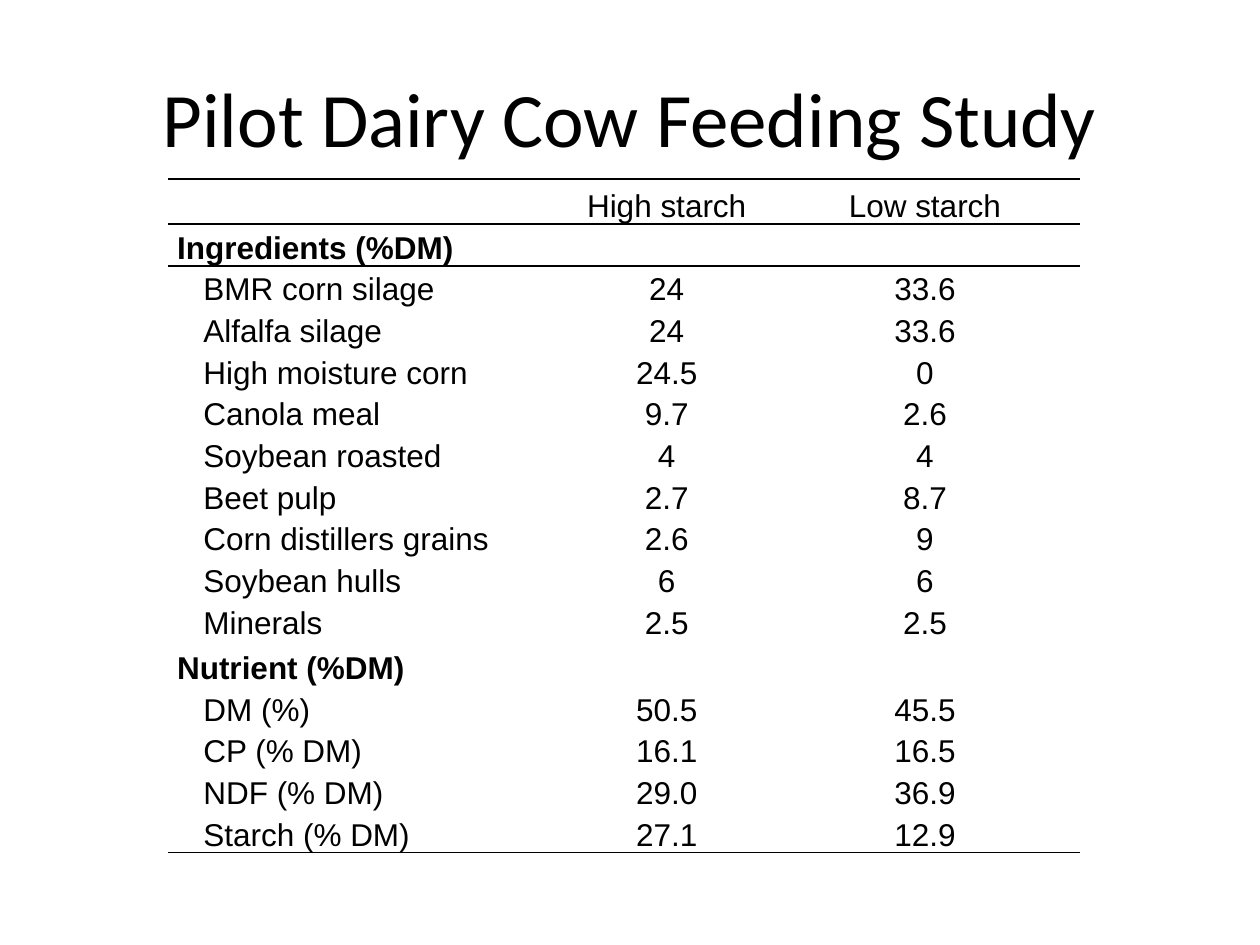
from lxml import etree
from pptx import Presentation
from pptx import util as u
from pptx.dml.color import RGBColor
from pptx.enum import text
from pptx.oxml.ns import qn

BLACK = "000000"
NO_STYLE_NO_GRID = "{2D5ABB26-0587-4C30-8999-92F81FD0307C}"
HEADINGS = ["", "High starch", "Low starch"]
SECTIONS = {
    "Ingredients (%DM)": [
        ("BMR corn silage", "24", "33.6"),
        ("Alfalfa silage", "24", "33.6"),
        ("High moisture corn", "24.5", "0"),
        ("Canola meal", "9.7", "2.6"),
        ("Soybean roasted", "4", "4"),
        ("Beet pulp", "2.7", "8.7"),
        ("Corn distillers grains", "2.6", "9"),
        ("Soybean hulls", "6", "6"),
        ("Minerals", "2.5", "2.5"),
    ],
    "Nutrient (%DM)": [
        ("DM (%)", "50.5", "45.5"),
        ("CP (% DM)", "16.1", "16.5"),
        ("NDF (% DM)", "29.0", "36.9"),
        ("Starch (% DM)", "27.1", "12.9"),
    ],
}


def colour(value):
    return RGBColor.from_string(value)


def write(frame, words, size=18, font="Arial", bold=False, align="LEFT", indent=0):
    para = frame.paragraphs[0]
    para.alignment = getattr(text.PP_ALIGN, align)
    if indent:
        para._p.get_or_add_pPr().set("marL", str(u.Cm(indent)))
    span = para.add_run()
    span.text = words
    span.font.size = u.Pt(size)
    span.font.name = font
    span.font.bold = bold
    span.font.color.rgb = colour(BLACK)


def rule(cell, side):
    """Draw a 1 pt line on the side of a cell: lnT for top, lnB for bottom."""
    line = etree.SubElement(cell._tc.get_or_add_tcPr(), qn(f"a:{side}"), w=str(u.Pt(1)))
    fill = etree.SubElement(line, qn("a:solidFill"))
    etree.SubElement(fill, qn("a:srgbClr"), val=BLACK)


def place_title(page, left, top, width, height):
    title = page.shapes.title
    title.left, title.top, title.width, title.height = map(u.Cm, (left, top, width, height))
    title.text_frame.vertical_anchor = text.MSO_ANCHOR.MIDDLE
    write(title.text_frame, "Pilot Dairy Cow Feeding Study", size=44, font="Calibri", align="CENTER")


def format_cell(cell, sides):
    cell.margin_left = cell.margin_right = u.Cm(0.18)
    cell.margin_top = cell.margin_bottom = 0
    cell.vertical_anchor = text.MSO_ANCHOR.BOTTOM
    for side in sides:
        rule(cell, side)
    cell.fill.background()


def place_diet_table(page, left, top, width, height):
    rows = [HEADINGS]
    for section, items in SECTIONS.items():
        rows += [(section, "", ""), *items]
    frame = page.shapes.add_table(len(rows), 3, *map(u.Cm, (left, top, width, height)))
    table = frame.table
    table.first_row = table.horz_banding = False
    table._tbl.tblPr.find(qn("a:tableStyleId")).text = NO_STYLE_NO_GRID

    for column, share in zip(table.columns, (3.14, 1.63, 2.47)):
        column.width = u.Cm(round(width * share / 7.24, 2))

    rules = {0: ("lnT", "lnB"), 1: ("lnT",), len(rows) - 1: ("lnB",)}
    for r, row in enumerate(rows):
        is_section = row[0] in SECTIONS
        table.rows[r].height = u.Cm(0.91 if row[0] in ("", "Nutrient (%DM)") else 0.84)
        for c, words in enumerate(row):
            cell = table.cell(r, c)
            format_cell(cell, rules.get(r, ()))
            if not words:
                continue
            if c == 0:
                write(cell.text_frame, words, bold=is_section, indent=0 if is_section else 0.53)
            else:
                write(cell.text_frame, words, align="CENTER")


def main():
    deck = Presentation()
    deck.slide_width, deck.slide_height = u.Cm(25.4), u.Cm(19.05)
    page = deck.slides.add_slide(deck.slide_layouts[5])
    place_title(page, 1.27, 0.76, 22.86, 3.18)
    place_diet_table(page, 3.39, 3.61, 18.39, 13.58)
    deck.save("out.pptx")


if __name__ == "__main__":
    main()
